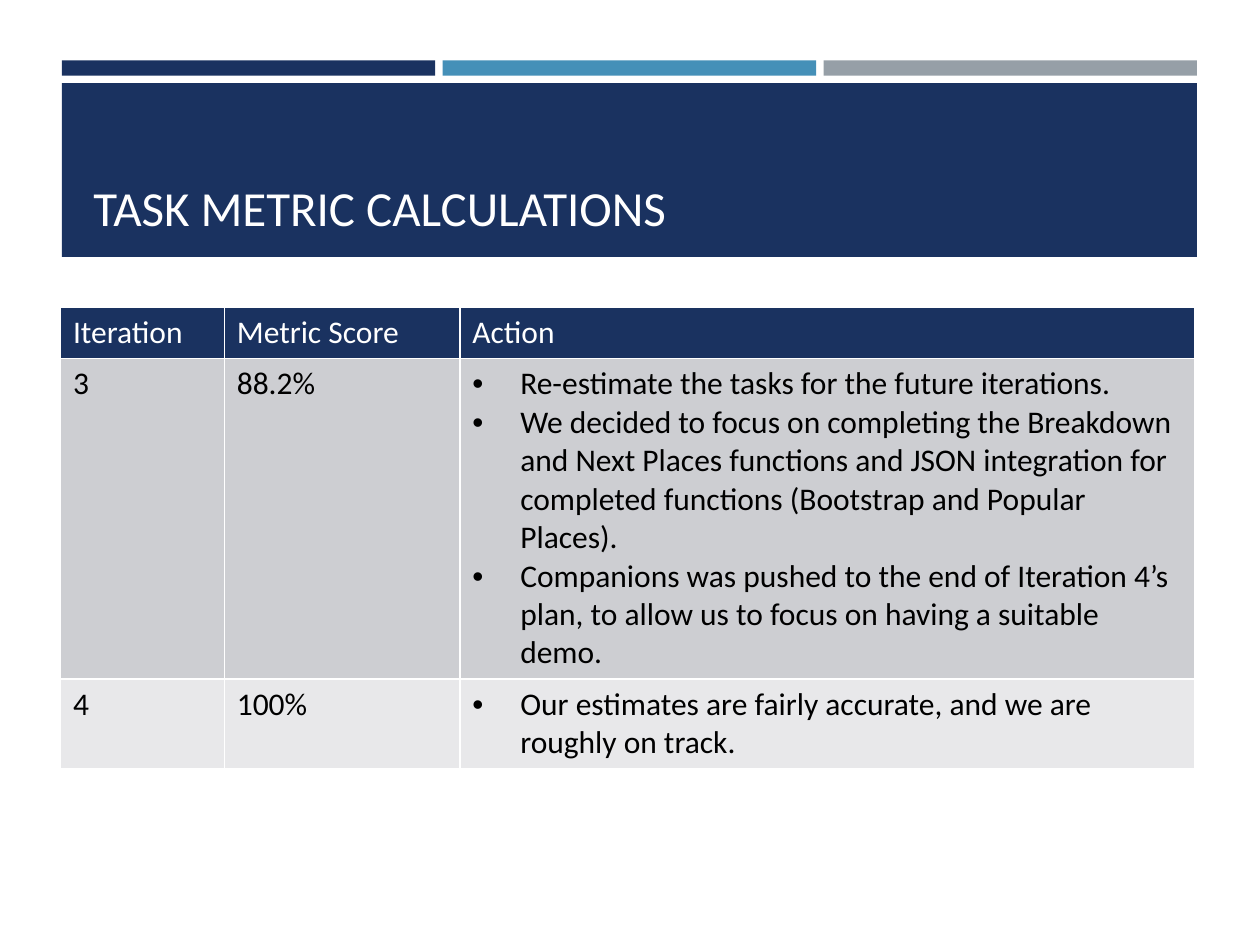
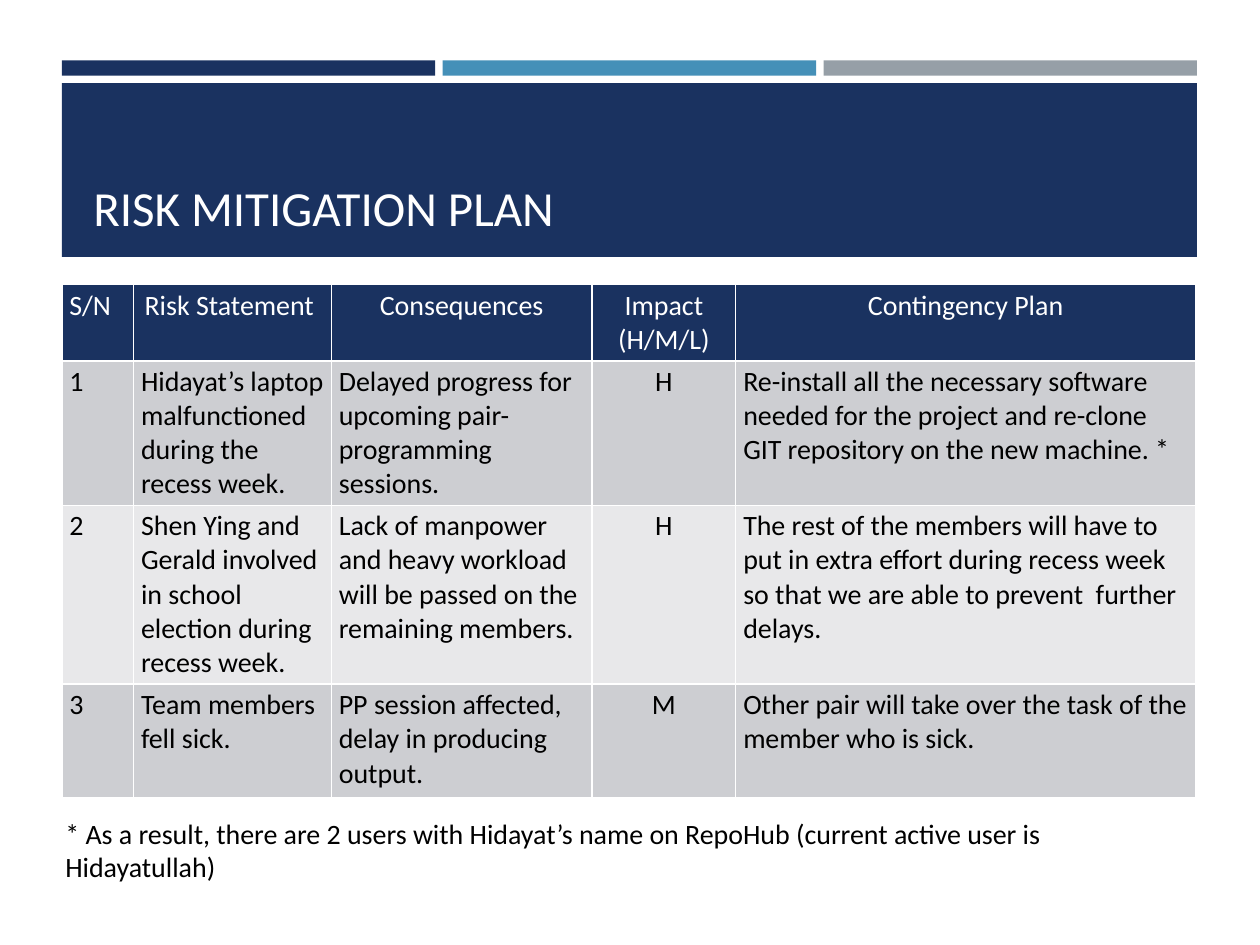
from lxml import etree
from pptx import Presentation
from pptx import util as u
from pptx.dml.color import RGBColor
from pptx.enum import shapes, text
from pptx.oxml.ns import qn

NAVY = RGBColor(0x1A, 0x32, 0x60)
BLUE = RGBColor(0x45, 0x90, 0xB8)
GRAY = RGBColor(0x96, 0x9F, 0xA7)
DARK = RGBColor(0xCD, 0xCE, 0xD2)
PALE = RGBColor(0xE8, 0xE8, 0xEA)
WHITE = RGBColor(0xFF, 0xFF, 0xFF)
BLACK = RGBColor(0, 0, 0)
FONT = "Calibri"

# A list in a cell becomes bullets.
TASKS = {
    "title": "TASK METRIC CALCULATIONS",
    "at": (0.48, 2.44),
    "cols": (1.3, 1.87, 5.83),
    "rows": (0.4, 2.54, 0.71),
    "inset": (0.1, 0.05),
    "size": 18,
    "center": (),
    "cells": [
        ("Iteration", "Metric Score", "Action"),
        ("3", "88.2%", [
            "Re-estimate the tasks for the future iterations.",
            "We decided to focus on completing the Breakdown and Next Places "
            "functions and JSON integration for completed functions "
            "(Bootstrap and Popular Places).",
            "Companions was pushed to the end of Iteration 4’s plan, to allow "
            "us to focus on having a suitable demo.",
        ]),
        ("4", "100%", [
            "Our estimates are fairly accurate, and we are roughly on track."]),
    ],
}
RISKS = {
    "title": "RISK MITIGATION PLAN",
    "at": (0.49, 2.26),
    "cols": (0.57, 1.57, 2.07, 1.14, 3.65),
    "rows": (0.59, 1.14, 1.42, 0.9),
    "inset": (0.06, 0.03),
    "size": 16,
    "center": (3,),
    "cells": [
        ("S/N", "Risk Statement ", "Consequences", "Impact\n(H/M/L)",
         "Contingency Plan"),
        ("1", "Hidayat’s laptop malfunctioned during the recess week.",
         "Delayed progress for upcoming pair- programming sessions.", "H",
         "Re-install all the necessary software needed for the project and "
         "re-clone GIT repository on the new machine. *"),
        ("2", "Shen Ying and Gerald involved in school election during "
              "recess week.",
         "Lack of manpower and heavy workload will be passed on the "
         "remaining members.", "H",
         "The rest of the members will have to put in extra effort during "
         "recess week so that we are able to prevent  further delays."),
        ("3", "Team members fell sick.",
         "PP session affected, delay in producing output.", "M",
         "Other pair will take over the task of the member who is sick."),
    ],
    "note": "* As a result, there are 2 users with Hidayat’s name on RepoHub "
            "(current active user is Hidayatullah)",
}

LEFT, WIDE, GAP = 0.49, 9.01, 0.06
STRIPES = (NAVY, BLUE, GRAY)


def inches(*sizes):
    return [u.Inches(size) for size in sizes]


def write(para, words, size, color):
    for i, line in enumerate(words.split("\n")):
        if i:
            para.add_line_break()
        run = para.add_run()
        run.text = line
        run.font.name, run.font.size = FONT, u.Pt(size)
        run.font.bold = False
        run.font.color.rgb = color


def bullet(para):
    props = para._p.get_or_add_pPr()
    hang = u.Inches(0.38)
    props.set("marL", str(hang))
    props.set("indent", str(-hang))
    etree.SubElement(props, qn("a:buFont")).set("typeface", "Arial")
    etree.SubElement(props, qn("a:buChar")).set("char", "•")


def edge(cell):
    """Give a cell white borders, which must come before its fill."""
    props = cell._tc.get_or_add_tcPr()
    for side in ("lnL", "lnR", "lnT", "lnB"):
        line = etree.SubElement(props, qn("a:" + side), w=str(u.Pt(1)))
        fill = etree.SubElement(line, qn("a:solidFill"))
        etree.SubElement(fill, qn("a:srgbClr"), val=str(WHITE))


def add_bar(slide, box, color):
    bar = slide.shapes.add_shape(shapes.MSO_SHAPE.RECTANGLE, *inches(*box))
    bar.shadow.inherit = False
    bar.fill.solid()
    bar.fill.fore_color.rgb = color
    bar.line.fill.background()


def add_head(slide, words):
    step = (WIDE + GAP) / len(STRIPES)
    for i, color in enumerate(STRIPES):
        add_bar(slide, (LEFT + i * step, 0.48, step - GAP, 0.12), color)
    add_bar(slide, (LEFT, 0.66, WIDE, 1.38), NAVY)
    title = slide.shapes.title
    slide.shapes.element.append(title.element)  # bring in front of the band
    title.left, title.top, title.width, title.height = inches(
        0.64, 0.75, 8.74, 1.18)
    frame = title.text_frame
    frame.auto_size = text.MSO_AUTO_SIZE.NONE
    frame.vertical_anchor = text.MSO_ANCHOR.BOTTOM
    para = frame.paragraphs[0]
    para.alignment = text.PP_ALIGN.LEFT
    write(para, words, 28, WHITE)


def fill_cell(cell, words, row, col, plan):
    edge(cell)
    cell.fill.solid()
    cell.fill.fore_color.rgb = (DARK if row % 2 else PALE) if row else NAVY
    across, down = inches(*plan["inset"])
    cell.margin_left = cell.margin_right = across
    cell.margin_top = cell.margin_bottom = down
    listed = isinstance(words, list)
    frame = cell.text_frame
    for i, item in enumerate(words if listed else [words]):
        para = frame.add_paragraph() if i else frame.paragraphs[0]
        if listed:
            bullet(para)
        if col in plan["center"] or (plan["center"] and not row and col):
            para.alignment = text.PP_ALIGN.CENTER
        write(para, item, plan["size"], BLACK if row else WHITE)


def add_grid(slide, plan):
    cols, rows = plan["cols"], plan["rows"]
    table = slide.shapes.add_table(
        len(rows), len(cols),
        *inches(*plan["at"], sum(cols), sum(rows))).table
    for col, width in zip(table.columns, cols):
        col.width = u.Inches(width)
    for row, height in zip(table.rows, rows):
        row.height = u.Inches(height)
    for r, row in enumerate(plan["cells"]):
        for c, words in enumerate(row):
            fill_cell(table.cell(r, c), words, r, c, plan)


def add_note(slide, words):
    frame = slide.shapes.add_textbox(*inches(0.42, 6.43, 9.15, 0.37)).text_frame
    frame.word_wrap = True
    write(frame.paragraphs[0], words, 16, BLACK)


def main():
    deck = Presentation()
    deck.slide_width, deck.slide_height = inches(10, 7.5)
    for plan in (TASKS, RISKS):
        slide = deck.slides.add_slide(deck.slide_layouts[5])
        add_head(slide, plan["title"])
        add_grid(slide, plan)
        if "note" in plan:
            add_note(slide, plan["note"])
    deck.save("out.pptx")


if __name__ == "__main__":
    main()
